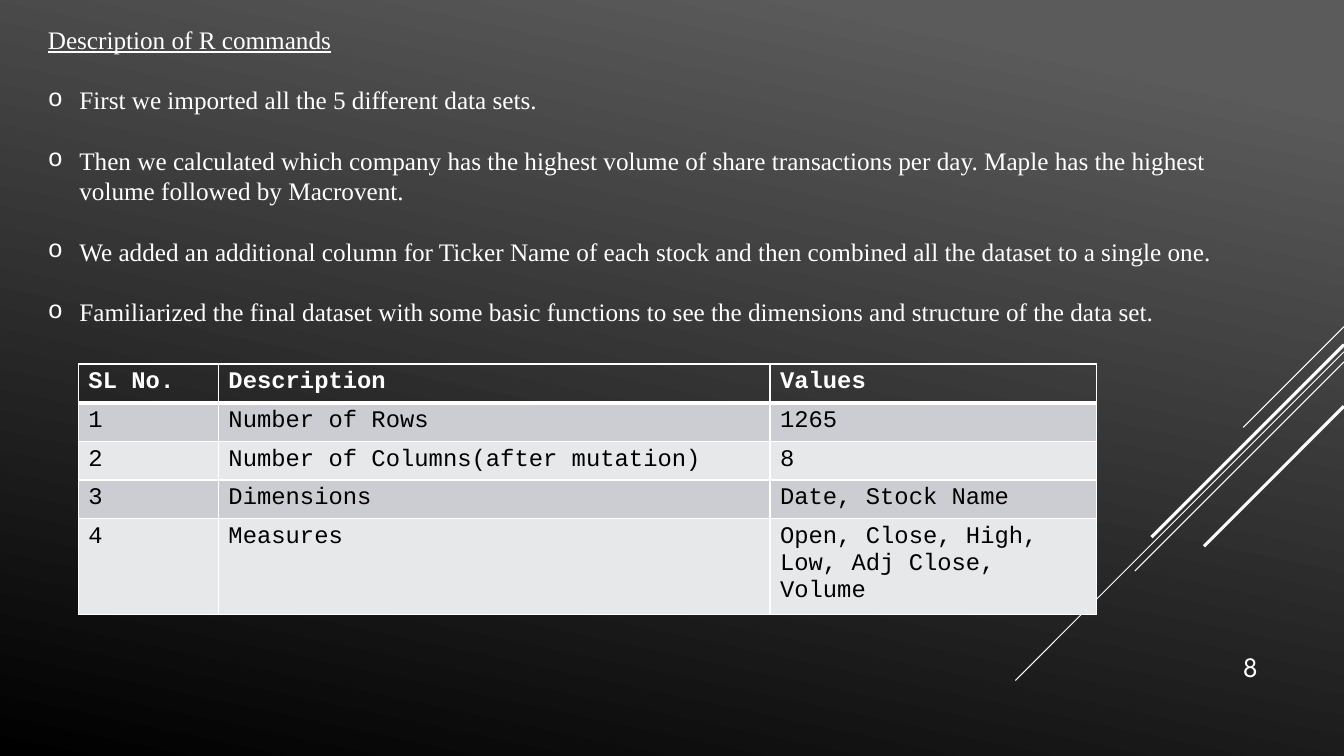
from lxml import etree
from pptx import Presentation
from pptx.dml.color import RGBColor
from pptx.enum.shapes import MSO_CONNECTOR
from pptx.enum.text import MSO_ANCHOR, PP_ALIGN
from pptx.oxml.ns import qn
from pptx.util import Pt

STRAIGHT = MSO_CONNECTOR.STRAIGHT
BOTTOM = MSO_ANCHOR.BOTTOM
RIGHT = PP_ALIGN.RIGHT

WHITE = RGBColor(0xFF, 0xFF, 0xFF)
BLACK = RGBColor(0, 0, 0)
GRAY = RGBColor(0x5B, 0x5B, 0x5B)
BAND_DARK = RGBColor(0xCC, 0xCD, 0xD2)
BAND_LIGHT = RGBColor(0xE7, 0xE8, 0xEA)

SLIDE_W, SLIDE_H = 960, 540
LINE_PITCH = 21.6
INDENT = 22.5


def add_run(p, text, **font):
    color = font.pop("color")
    r = p.add_run()
    r.text = text
    for name, value in font.items():
        setattr(r.font, name, value)
    r.font.color.rgb = color


def set_border(cell, side, width):
    ln = etree.SubElement(cell._tc.get_or_add_tcPr(), qn(f"a:ln{side}"), w=str(Pt(width)))
    fill = etree.SubElement(ln, qn("a:solidFill"))
    etree.SubElement(fill, qn("a:srgbClr"), val=str(WHITE))


prs = Presentation()
prs.slide_width, prs.slide_height = Pt(SLIDE_W), Pt(SLIDE_H)
s = prs.slides.add_slide(prs.slide_layouts[6])

# Background
bg = s.background.fill
bg.gradient()
bg.gradient_angle = 258
for stop, position, color in zip(bg.gradient_stops, (0.1, 1), (GRAY, BLACK)):
    stop.position = position
    stop.color.rgb = color

# Diagonal lines at 45 degrees from the right edge: top, run, line width
DIAGONALS = [
    (233.3, 72, 0.75),
    (251.3, 234.7, 0.75),
    (258.5, 149.4, 0.75),
    (246.2, 137.5, 2.25),
    (290.2, 100, 2.25),
]
for top, run, width in DIAGONALS:
    line = s.shapes.add_connector(STRAIGHT, Pt(SLIDE_W), Pt(top), Pt(SLIDE_W - run), Pt(top + run))
    line.line.color.rgb = WHITE
    line.line.width = Pt(width)
    etree.SubElement(line._element.spPr, qn("a:effectLst"))

# Heading and bullets
STEPS = [
    "First we imported all the 5 different data sets.",
    "Then we calculated which company has the highest volume of share transactions per day. "
    "Maple has the highest volume followed by Macrovent.",
    "We added an additional column for Ticker Name of each stock and then combined all the "
    "dataset to a single one.",
    "Familiarized the final dataset with some basic functions to see the dimensions and "
    "structure of the data set.",
]
tf = s.shapes.add_textbox(Pt(27.1), Pt(13.7), Pt(857), Pt(356)).text_frame
tf.word_wrap = True
p = tf.paragraphs[0]
p.line_spacing = Pt(LINE_PITCH)
body = {"name": "Times New Roman", "size": Pt(18), "color": WHITE}
add_run(p, "Description of R commands", underline=True, **body)
for step in STEPS:
    p = tf.add_paragraph()
    p.line_spacing = p.space_before = Pt(LINE_PITCH)
    pPr = p._p.get_or_add_pPr()
    pPr.set("marL", str(Pt(INDENT)))
    pPr.set("indent", str(-Pt(INDENT)))
    etree.SubElement(pPr, qn("a:buFont"), typeface="Courier New")
    etree.SubElement(pPr, qn("a:buChar"), char="o")
    add_run(p, step, **body)

# Dataset table
ROWS = [
    ("SL No.", "Description", "Values"),
    ("1", "Number of Rows", "1265"),
    ("2", "Number of Columns(after mutation)", "8"),
    ("3", "Dimensions", "Date, Stock Name"),
    ("4", "Measures", "Open, Close, High, Low, Adj Close, Volume"),
]
COL_WIDTHS = [100, 394, 233]
ROW_HEIGHTS = [27.5] * 4 + [68.5]
table = s.shapes.add_table(len(ROWS), len(COL_WIDTHS), Pt(56), Pt(260),
                           Pt(sum(COL_WIDTHS)), Pt(sum(ROW_HEIGHTS))).table
table.first_row = table.horz_banding = False
for col, width in zip(table.columns, COL_WIDTHS):
    col.width = Pt(width)
for i, (values, height) in enumerate(zip(ROWS, ROW_HEIGHTS)):
    table.rows[i].height = Pt(height)
    header = i == 0
    for cell, value in zip(table.rows[i].cells, values):
        for side in "LRTB":
            thick = (header and side == "B") or (i == 1 and side == "T")
            set_border(cell, side, 3 if thick else 1)
        if header:
            cell.fill.background()
        else:
            cell.fill.solid()
            cell.fill.fore_color.rgb = BAND_DARK if i % 2 else BAND_LIGHT
        add_run(cell.text_frame.paragraphs[0], value, name="Courier New", size=Pt(17),
                bold=header, color=WHITE if header else BLACK)

# Page number
tf = s.shapes.add_textbox(Pt(815.8), Pt(439.2), Pt(90), Pt(52.6)).text_frame
tf.word_wrap = True
tf.vertical_anchor = BOTTOM
p = tf.paragraphs[0]
p.alignment = RIGHT
add_run(p, "8", name="League Spartan", size=Pt(20), color=WHITE)

prs.save("out.pptx")
